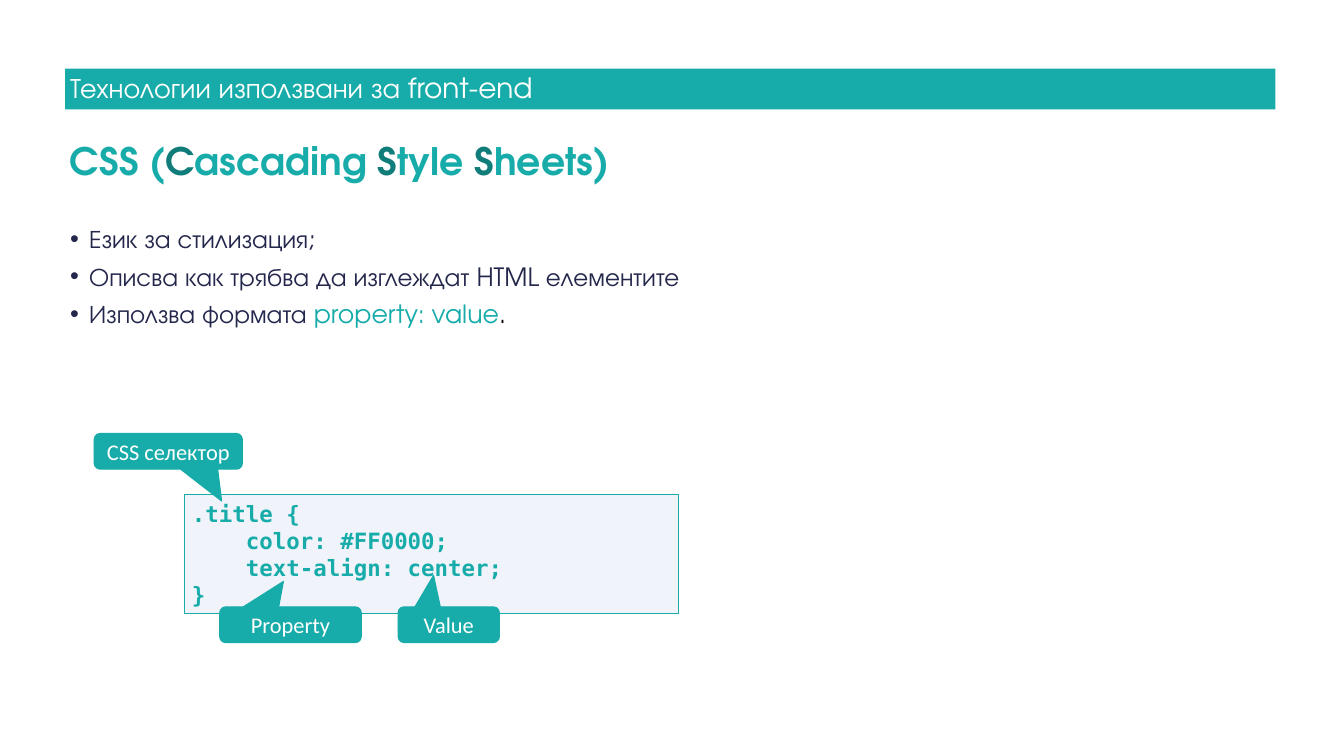
from pptx import Presentation
from pptx.dml.color import RGBColor
from pptx.enum.shapes import MSO_SHAPE
from pptx.enum.text import MSO_ANCHOR, MSO_AUTO_SIZE, PP_ALIGN
from pptx.oxml import parse_xml
from pptx.oxml.ns import nsdecls
from pptx.util import Inches, Pt

RECT = MSO_SHAPE.RECTANGLE
CALLOUT = MSO_SHAPE.ROUNDED_RECTANGULAR_CALLOUT
TOP, MIDDLE = MSO_ANCHOR.TOP, MSO_ANCHOR.MIDDLE
LEFT, CENTER = PP_ALIGN.LEFT, PP_ALIGN.CENTER
NO_AUTOFIT = MSO_AUTO_SIZE.NONE

COLORS = {"teal": "17ACA9", "dark_teal": "117D7A", "navy": "24274C",
          "code_bg": "F0F4FA", "white": "FFFFFF", "black": "000000"}
HEADING_FONT, CODE_FONT, LABEL_FONT = "TeX Gyre Adventor", "DejaVu Sans Mono", "Calibri"


def rgb(name):
    return RGBColor.from_string(COLORS[name])


def place(sp, box):
    sp.left, sp.top, sp.width, sp.height = (Inches(v) for v in box)


def setup_frame(sp, anchor=TOP, margins=(0.1, 0.05)):
    tf = sp.text_frame
    tf.auto_size = NO_AUTOFIT
    tf.word_wrap = True
    tf.vertical_anchor = anchor
    tf.margin_left = tf.margin_right = Inches(margins[0])
    tf.margin_top = tf.margin_bottom = Inches(margins[1])
    return tf


def write(tf, paragraphs, font, size, bold=False, align=LEFT, spacing=1.0, before=0, bullet=None):
    """Fill the frame with paragraphs, each a list of (text, colour) runs."""
    for i, runs in enumerate(paragraphs):
        p = tf.paragraphs[0] if i == 0 else tf.add_paragraph()
        p.alignment = align
        p.line_spacing = spacing
        p.space_before = Pt(before if i else 0)
        if bullet:
            add_bullet(p, bullet)
        for text, color in runs:
            r = p.add_run()
            r.text = text
            r.font.name = font
            r.font.size = Pt(size)
            r.font.bold = bold
            r.font.color.rgb = rgb(color)


def add_bullet(p, color, indent=0.38):
    pPr = p._p.get_or_add_pPr()
    pPr.set("marL", str(Inches(indent)))
    pPr.set("indent", str(-Inches(indent)))
    pPr.append(parse_xml(f'<a:buClr {nsdecls("a")}><a:srgbClr val="{COLORS[color]}"/></a:buClr>'))
    pPr.append(parse_xml(f'<a:buFont {nsdecls("a")} typeface="Arial"/>'))
    pPr.append(parse_xml(f'<a:buChar {nsdecls("a")} char="•"/>'))


def add_box(s, shape, box, fill, line_width=None):
    sp = s.shapes.add_shape(shape, *(Inches(v) for v in box))
    sp.shadow.inherit = False
    sp.fill.solid()
    sp.fill.fore_color.rgb = rgb(fill)
    if line_width:
        sp.line.color.rgb = rgb("teal")
        sp.line.width = Pt(line_width)
    else:
        sp.line.fill.background()
    return sp


def add_title_bar(s, box):
    bar = add_box(s, RECT, box, "teal")
    title = s.shapes.title
    title.element.addprevious(bar.element)
    place(title, box)
    write(setup_frame(title, MIDDLE), [[("Технологии използвани за front-end", "white")]],
          HEADING_FONT, 40, spacing=0.9)


def add_subtitle(s, box):
    sp = s.shapes.add_textbox(*(Inches(v) for v in box))
    runs = [("CSS (", "teal"), ("C", "dark_teal"), ("ascading ", "teal"), ("S", "dark_teal"),
            ("tyle ", "teal"), ("S", "dark_teal"), ("heets)", "teal")]
    write(setup_frame(sp), [runs], HEADING_FONT, 54, bold=True, spacing=0.9)


def add_bullets(s, box):
    body = s.placeholders[1]
    place(body, box)
    items = [[("Език за стилизация;", "navy")],
             [("Описва как трябва да изглеждат HTML елементите", "navy")],
             [("Използва формата ", "navy"), ("property: value", "teal"), (".", "black")]]
    write(setup_frame(body), items, HEADING_FONT, 36, before=10, bullet="navy")


def add_callout(s, box, label, tip):
    """Add a label whose tip is an offset from its centre, in parts of its size."""
    sp = add_box(s, CALLOUT, box, "teal", 1.5)
    sp.adjustments[0], sp.adjustments[1] = tip
    write(setup_frame(sp, MIDDLE), [[(label, "white")]], LABEL_FONT, 32, align=CENTER)


def add_code_example(s, box):
    x, y, w, h = box
    code = add_box(s, RECT, box, "code_bg", 1)
    lines = [".title {", "    color: #FF0000;", "    text-align: center;", "}"]
    write(setup_frame(code, margins=(0.16, 0.12)), [[(line, "teal")] for line in lines],
          CODE_FONT, 32, bold=True)

    label_h = 0.71
    above, below = y - 1.2, y + h - 0.13
    for dx, top, width, label, tip in [
        (-1.78, above, 2.94, "CSS селектор", (0.36, 1.39)),
        (4.25, below, 2.01, "Value", (-0.15, -1.38)),
        (0.71, below, 2.81, "Property", (-0.05, -1.21)),
    ]:
        add_callout(s, (x + dx, top, width, label_h), label, tip)


def main():
    prs = Presentation()
    prs.slide_width, prs.slide_height = Inches(26.67), Inches(15)
    s = prs.slides.add_slide(prs.slide_layouts[1])
    left = 1.29
    add_title_bar(s, (left, 1.36, 24.02, 0.81))
    add_subtitle(s, (left, 2.78, 23.98, 0.94))
    add_bullets(s, (left, 4.39, 23.98, 5.95))
    add_code_example(s, (3.65, 9.8, 9.82, 2.37))
    prs.save("out.pptx")


if __name__ == "__main__":
    main()
